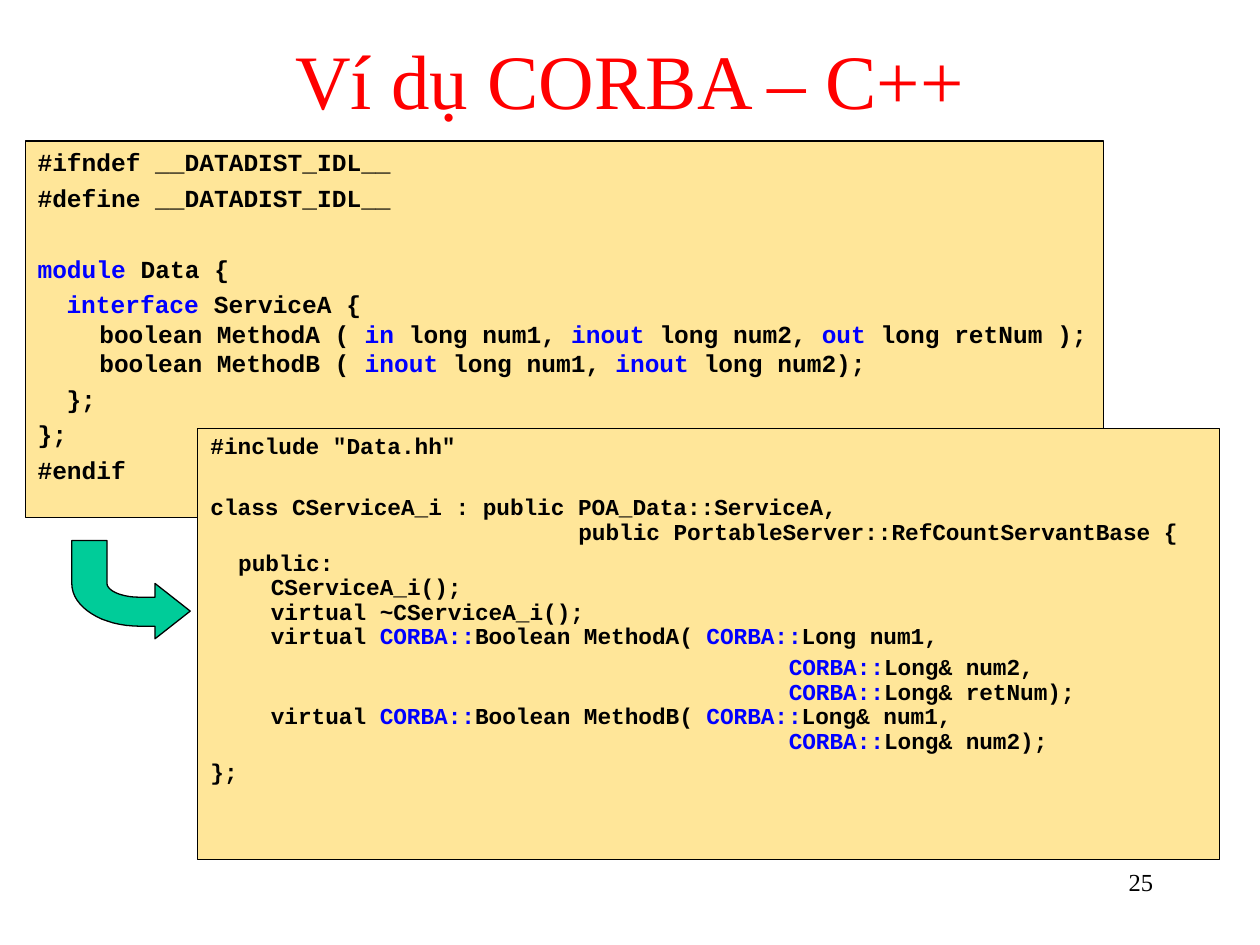
from dataclasses import dataclass

from lxml import etree
from pptx import Presentation
from pptx.dml.color import RGBColor
from pptx.enum import shapes, text
from pptx.oxml import ns
from pptx.util import Inches, Pt

BLACK, BLUE, RED = "000000", "0000FF", "FF0000"
CREAM, GREEN = "FFE699", "00CC99"
PARAGRAPH_GAP = 3.5
UNITS_PER_INCH = 1000  # freeform points are rounded to whole units
Point = tuple[float, float]


@dataclass
class CodeLine:
    """One line of code; parts between bars are keywords."""
    code: str
    indent: float = 0
    before: float = PARAGRAPH_GAP


@dataclass
class Listing:
    lines: list[CodeLine]
    size: float
    spacing: float


IDL = Listing([
    CodeLine("#ifndef __DATADIST_IDL__"),
    CodeLine("#define __DATADIST_IDL__"),
    CodeLine("|module| Data {", before=23.8),
    CodeLine("|interface| ServiceA {", 0.23),
    CodeLine("boolean MethodA ( |in| long num1, |inout| long num2, |out| long retNum );", 0.49, 0),
    CodeLine("boolean MethodB ( |inout| long num1, |inout| long num2);", 0.49, 0),
    CodeLine("};", 0.23),
    CodeLine("};"),
    CodeLine("#endif"),
], size=14, spacing=1.0)

CPP = Listing([
    CodeLine('#include "Data.hh"'),
    CodeLine("class CServiceA_i : public POA_Data::ServiceA,", before=21),
    CodeLine("public PortableServer::RefCountServantBase {", 2.92, 0),
    CodeLine("public:", 0.22),
    CodeLine("CServiceA_i();", 0.48, 0),
    CodeLine("virtual ~CServiceA_i();", 0.48, 0),
    CodeLine("virtual |CORBA::|Boolean MethodA( |CORBA::|Long num1,", 0.48, 0),
    CodeLine("|CORBA::|Long& num2,", 4.59),
    CodeLine("|CORBA::|Long& retNum);", 4.59, 0),
    CodeLine("virtual |CORBA::|Boolean MethodB( |CORBA::|Long& num1,", 0.48, 0),
    CodeLine("|CORBA::|Long& num2);", 4.59, 0),
    CodeLine("};"),
], size=13, spacing=0.9)


def rgb(color: str) -> RGBColor:
    return RGBColor.from_string(color)


def place(shape, left: float, top: float, width: float, height: float) -> None:
    shape.left, shape.top = Inches(left), Inches(top)
    shape.width, shape.height = Inches(width), Inches(height)


def paint(shape, fill: str) -> None:
    shape.fill.solid()
    shape.fill.fore_color.rgb = rgb(fill)
    shape.line.color.rgb = rgb(BLACK)
    shape.line.width = Pt(0.75)


def add_span(para, words: str, size: float, color: str, font: str, bold: bool = False) -> None:
    span = para.add_run()
    span.text = words
    span.font.name, span.font.size, span.font.bold = font, Pt(size), bold
    span.font.color.rgb = rgb(color)


def write_code(box, listing: Listing) -> None:
    frame = box.text_frame
    frame.word_wrap = True
    frame.auto_size = text.MSO_AUTO_SIZE.NONE
    frame.vertical_anchor = text.MSO_ANCHOR.TOP
    for number, line in enumerate(listing.lines):
        para = frame.add_paragraph() if number else frame.paragraphs[0]
        para.alignment = text.PP_ALIGN.LEFT
        para.line_spacing = listing.spacing
        para.space_before, para.space_after = Pt(line.before), Pt(0)
        properties = para._p.get_or_add_pPr()
        properties.set("marL", str(Inches(line.indent)))
        properties.set("indent", "0")
        etree.SubElement(properties, ns.qn("a:buNone"))
        for part, words in enumerate(line.code.split("|")):
            if words:
                add_span(para, words, listing.size, BLUE if part % 2 else BLACK, "Courier New", True)


def curve(start: Point, first: Point, second: Point, end: Point, steps: int = 16) -> list[Point]:
    """Points along a cubic Bézier curve."""
    points = []
    for step in range(steps + 1):
        t = step / steps
        weights = ((1 - t) ** 3, 3 * t * (1 - t) ** 2, 3 * t * t * (1 - t), t ** 3)
        points.append(tuple(sum(w * p[axis] for w, p in zip(weights, (start, first, second, end)))
                            for axis in (0, 1)))
    return points


def add_bent_arrow(page) -> None:
    outline = [(0.57, 4.29)]
    outline += curve((0.57, 4.63), (0.57, 4.82), (0.81, 4.97), (1.11, 4.97))
    outline += [(1.23, 4.97), (1.23, 5.07), (1.51, 4.85), (1.23, 4.63), (1.23, 4.74)]
    outline += curve((1.11, 4.74), (0.97, 4.74), (0.85, 4.69), (0.85, 4.63))
    outline += [(0.85, 4.29)]
    units = [(x * UNITS_PER_INCH, y * UNITS_PER_INCH) for x, y in outline]
    builder = page.shapes.build_freeform(*units[0], scale=Inches(1) / UNITS_PER_INCH)
    builder.add_line_segments(units[1:], close=True)
    arrow = builder.convert_to_shape()
    arrow.shadow.inherit = False
    paint(arrow, GREEN)


def main() -> None:
    deck = Presentation()
    deck.slide_width, deck.slide_height = Inches(10), Inches(7.5)
    page = deck.slides.add_slide(deck.slide_layouts[1])

    title = page.shapes.title
    place(title, 0, 0, 10, 1.25)
    title.text_frame.vertical_anchor = text.MSO_ANCHOR.MIDDLE
    heading = title.text_frame.paragraphs[0]
    heading.alignment = text.PP_ALIGN.CENTER
    add_span(heading, "Ví dụ CORBA – C++", 44, RED, "Times New Roman")

    idl_box = page.shapes.add_shape(shapes.MSO_SHAPE.RECTANGLE, 0, 0, 0, 0)
    place(idl_box, 0.2, 1.12, 8.56, 2.99)
    idl_box.shadow.inherit = False
    paint(idl_box, CREAM)
    write_code(idl_box, IDL)

    cpp_box = page.placeholders[1]
    place(cpp_box, 1.57, 3.4, 8.11, 3.42)
    paint(cpp_box, CREAM)
    write_code(cpp_box, CPP)
    idl_box._element.addnext(cpp_box._element)  # the C++ code overlaps the IDL code

    add_bent_arrow(page)

    number_box = page.shapes.add_textbox(Inches(7.17), Inches(6.83), Inches(2.08), Inches(0.5))
    number_box.text_frame.word_wrap = True
    number = number_box.text_frame.paragraphs[0]
    number.alignment = text.PP_ALIGN.RIGHT
    add_span(number, "25", 14, BLACK, "Times New Roman")

    deck.save("out.pptx")


if __name__ == "__main__":
    main()
